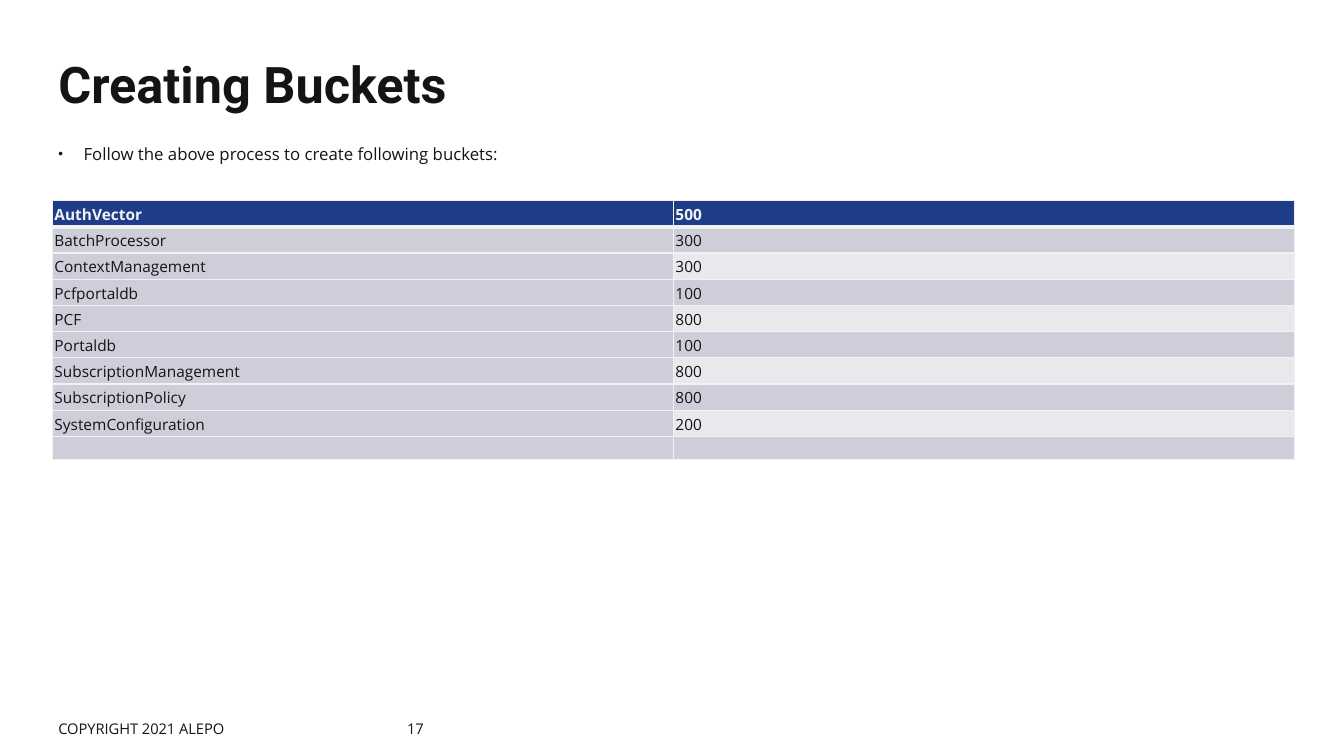
import pptx
import pptx.util
import pptx.enum.text
import pptx.dml.color
import pptx.oxml.ns
import lxml.etree

Inches = pptx.util.Inches
Pt = pptx.util.Pt
qn = pptx.oxml.ns.qn
Anchor = pptx.enum.text.MSO_ANCHOR

COLORS = {
    "ink": "141414",
    "pale": "F2F2F2",
    "head": "1F3C88",
    "dark": "CDCEDA",
    "light": "E8E8ED",
}

BUCKETS = [
    ("AuthVector", "500"),
    ("BatchProcessor", "300"),
    ("ContextManagement", "300"),
    ("Pcfportaldb", "100"),
    ("PCF", "800"),
    ("Portaldb", "100"),
    ("SubscriptionManagement", "800"),
    ("SubscriptionPolicy", "800"),
    ("SystemConfiguration", "200"),
    ("", ""),
]


def color(name):
    return pptx.dml.color.RGBColor.from_string(COLORS[name])


class Deck:
    font = "Open Sans"

    def __init__(self):
        self.file = pptx.Presentation()
        self.file.slide_width = Inches(13.33)
        self.file.slide_height = Inches(7.5)
        self.slide = self.file.slides.add_slide(self.file.slide_layouts[6])

    def add_text(self, para, text, size, tint="ink", bold=False, font=None):
        run = para.add_run()
        run.text = text
        run.font.size = Pt(size)
        run.font.name = font or self.font
        run.font.bold = bold
        run.font.color.rgb = color(tint)

    def text(self, place, text, size, anchor=Anchor.MIDDLE, space=1.0, **style):
        box = self.slide.shapes.add_textbox(*map(Inches, place))
        frame = box.text_frame
        frame.word_wrap = True
        frame.vertical_anchor = anchor
        para = frame.paragraphs[0]
        para.line_spacing = space
        self.add_text(para, text, size, **style)
        return frame

    def bullet(self, place, text, size):
        frame = self.text(place, text, size, Anchor.TOP, 0.9)
        frame.margin_top = Inches(0.1)
        props = frame.paragraphs[0]._p.get_or_add_pPr()
        props.set("marL", str(Inches(0.25)))
        props.set("indent", str(Inches(-0.25)))
        tint = lxml.etree.SubElement(props, qn("a:buClr"))
        lxml.etree.SubElement(tint, qn("a:srgbClr"), val=COLORS["ink"])
        lxml.etree.SubElement(props, qn("a:buSzPct"), val="80000")
        lxml.etree.SubElement(props, qn("a:buFont"), typeface="Arial")
        lxml.etree.SubElement(props, qn("a:buChar"), char="•")

    def border(self, cell, base):
        props = cell._tc.get_or_add_tcPr()
        for side in "LRTB":
            width = base if side == "B" else 1
            line = lxml.etree.SubElement(props, qn("a:ln" + side), w=str(Pt(width)))
            fill = lxml.etree.SubElement(line, qn("a:solidFill"))
            lxml.etree.SubElement(fill, qn("a:srgbClr"), val=COLORS["pale"])

    def cell(self, cell, text, fill, head):
        self.border(cell, 3 if head else 1)
        cell.fill.solid()
        cell.fill.fore_color.rgb = color(fill)
        cell.margin_left = cell.margin_right = cell.margin_top = Inches(0.02)
        cell.margin_bottom = Inches(0.01)
        para = cell.text_frame.paragraphs[0]
        para.line_spacing = 1.07
        if text:
            self.add_text(para, text, 11, "pale" if head else "ink", head)
        else:
            lxml.etree.SubElement(para._p, qn("a:endParaRPr"), sz="1100")

    def table(self, place, data):
        frame = self.slide.shapes.add_table(len(data), len(data[0]), *map(Inches, place))
        table = frame.table
        table.horz_banding = False
        for i, row in enumerate(data):
            table.rows[i].height = Inches(0.26 if any(row) else 0.23)
            for j, text in enumerate(row):
                fill = "light" if j and i % 2 == 0 else "dark"
                self.cell(table.cell(i, j), text, fill if i else "head", i == 0)

    def save(self):
        self.file.save("out.pptx")


def main():
    deck = Deck()
    deck.text((0.48, 0.49, 12.32, 0.75), "Creating Buckets", 36,
              space=0.9, bold=True, font="Roboto")
    deck.text((0.48, 7.03, 3.73, 0.4), "COPYRIGHT 2021 ALEPO", 10.5)
    deck.text((3.94, 7.03, 1.94, 0.4), "17", 10.5)
    deck.bullet((0.48, 1.35, 12.32, 5.28),
                "Follow the above process to create following buckets:", 12)
    deck.table((0.52, 1.99, 12.32, 2.57), BUCKETS)
    deck.save()


if __name__ == "__main__":
    main()
